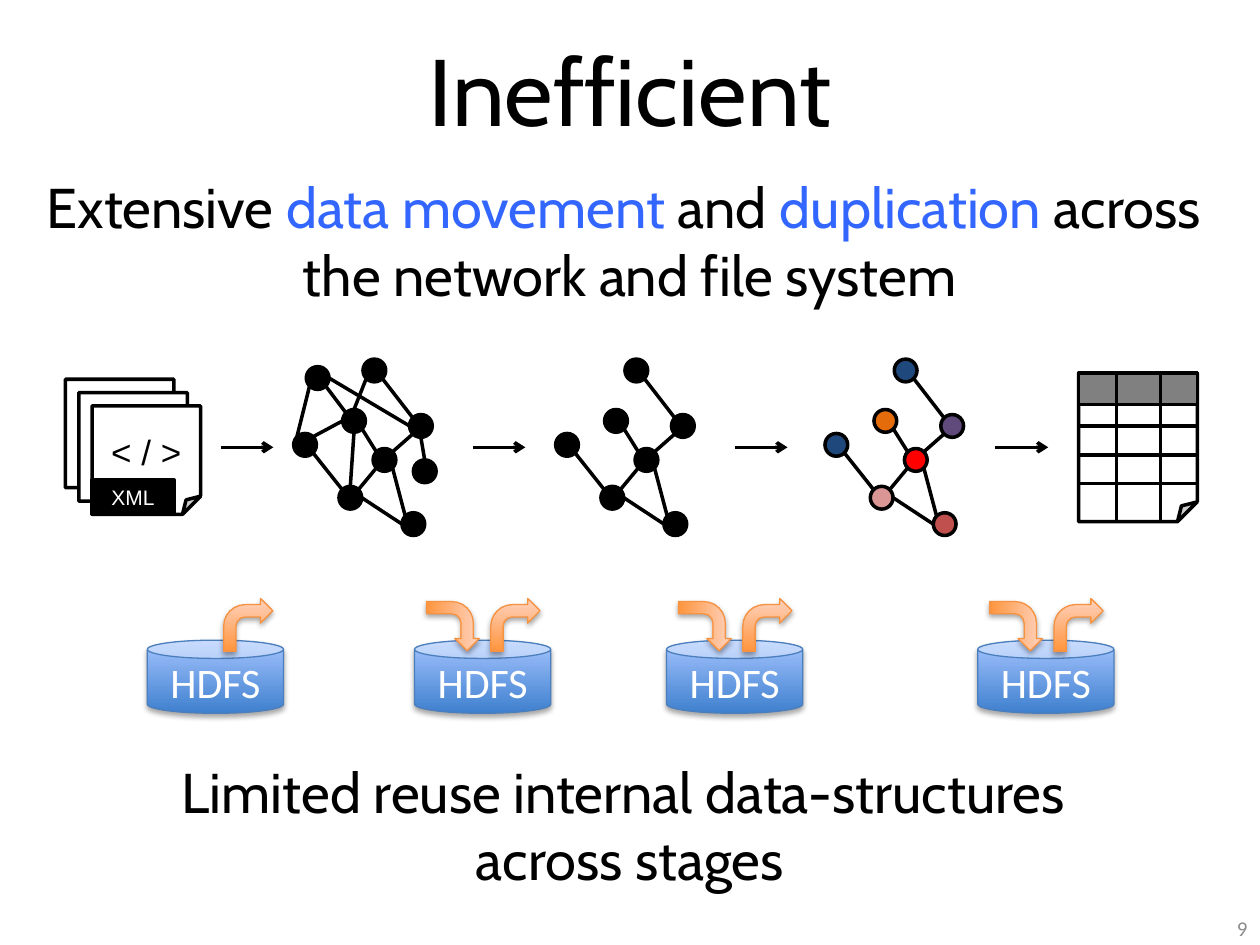
from collections import namedtuple
from lxml import etree
from pptx import Presentation
from pptx import util as u
from pptx.dml import color
from pptx.enum import shapes, text
from pptx.oxml import ns

Pt = u.Pt
KIND = shapes.MSO_SHAPE
Theme = namedtuple("Theme", "black white accent gray page_gray can can_line arrow arrow_line "
                   "head code mono page title_size body_size hdfs_size code_size small_size")
theme = Theme("000000", "FFFFFF", "3366FF", "808080", "8C8C8C",
              ("3F80CE", "A4C4FF"), "4B7EBC", ("FF953E", "FFD2BD"), "F69240",
              "Cabin", "Arial", "Calibri", "Calibri", 54, 32, 24, 20, 12)
rgb = color.RGBColor.from_string

prs = Presentation()
prs.slide_width, prs.slide_height = Pt(720), Pt(540)
s = prs.slides.add_slide(prs.slide_layouts[5])


def add_shape(kind, x, y, w, h, fill, line=theme.black, label="", font=theme.code,
              size=theme.code_size, ink=theme.black):
    sp = s.shapes.add_shape(kind, Pt(x), Pt(y), Pt(w), Pt(h))
    sp.shadow.inherit = False
    if isinstance(fill, tuple):
        sp.fill.gradient()
        sp.fill.gradient_angle = 90
        for stop, tone in zip(sp.fill.gradient_stops, fill):
            stop.color.rgb = rgb(tone)
        effects = sp._element.spPr.find(ns.qn("a:effectLst"))
        shadow = etree.SubElement(effects, ns.qn("a:outerShdw"), blurRad=str(Pt(3.1)),
                                  dist=str(Pt(1.8)), dir="5400000", rotWithShape="0")
        tint = etree.SubElement(shadow, ns.qn("a:srgbClr"), val=theme.black)
        etree.SubElement(tint, ns.qn("a:alpha"), val="35000")
        sp.line.width = Pt(0.75)
    else:
        sp.fill.solid()
        sp.fill.fore_color.rgb = rgb(fill)
        sp.line.width = Pt(2)
    sp.line.color.rgb = rgb(line)
    if label:
        p = sp.text_frame.paragraphs[0]
        p.text = label
        p.alignment = text.PP_ALIGN.CENTER
        f = p.runs[0].font
        f.name, f.size, f.color.rgb = font, Pt(size), rgb(ink)
    return sp


def add_line(x1, y1, x2, y2, arrow=False):
    c = s.shapes.add_connector(shapes.MSO_CONNECTOR.STRAIGHT, Pt(x1), Pt(y1), Pt(x2), Pt(y2))
    c.line.color.rgb = rgb(theme.black)
    c.line.width = Pt(2)
    if arrow:
        etree.SubElement(c.line._get_or_add_ln(), ns.qn("a:tailEnd"), type="arrow")
    etree.SubElement(c._element.spPr, ns.qn("a:effectLst"))


title = s.shapes.title
title.left, title.top, title.width, title.height = Pt(36), Pt(5.8), Pt(648), Pt(90)
tf = title.text_frame
tf.text = "Inefficient"
tf.vertical_anchor = text.MSO_ANCHOR.MIDDLE
tf.paragraphs[0].alignment = text.PP_ALIGN.CENTER
f = tf.paragraphs[0].runs[0].font
f.name, f.size, f.color.rgb = theme.head, Pt(theme.title_size), rgb(theme.black)

center, right = text.PP_ALIGN.CENTER, text.PP_ALIGN.RIGHT
captions = [
    (0, 92.2, 720, 90, center, theme.head, theme.body_size, [
        ("Extensive ", theme.black), ("data movement ", theme.accent), ("and ", theme.black),
        ("duplication", theme.accent), (" across ", theme.black), ("\n", None),
        ("the network and file system", theme.black)]),
    (0, 426.2, 720, 90, center, theme.head, theme.body_size, [
        ("Limited reuse internal data-structures ", theme.black), ("\n", None),
        ("across stages", theme.black)]),
    (552, 516.2, 168, 28.8, right, theme.page, theme.small_size, [("9", theme.page_gray)]),
]
for x, y, w, h, align, font, size, parts in captions:
    tf = s.shapes.add_textbox(Pt(x), Pt(y), Pt(w), Pt(h)).text_frame
    tf.word_wrap = True
    tf.vertical_anchor = text.MSO_ANCHOR.MIDDLE
    p = tf.paragraphs[0]
    p.alignment = align
    for words, ink in parts:
        if words == "\n":
            p.add_line_break()
            continue
        r = p.add_run()
        r.text = words
        r.font.name, r.font.size, r.font.color.rgb = font, Pt(size), rgb(ink)

for i, label in enumerate(["", "", "< / >"]):
    add_shape(KIND.FOLDED_CORNER, 37.4 + 7.6 * i, 216.7 + 7.6 * i, 62, 62, theme.white, label=label)
add_shape(KIND.RECTANGLE, 52.6, 274.3, 46.8, 19.5, theme.black, label="XML",
          size=theme.small_size, ink=theme.white)

node_size = 13
radius, graph_top = node_size / 2, 205.2
nodes = {"a": (0, 42.5), "b": (28, 28.8), "c": (45.4, 51.1), "d": (66.2, 31.7), "e": (25.9, 72.7),
         "f": (61.9, 87.8), "g": (39.6, 0), "h": (68.4, 57.6), "i": (7.2, 4.3)}
diagonal = 0.71
sites = {"n": (0, -1), "s": (0, 1), "w": (-1, 0), "e": (1, 0),
         "nw": (-diagonal, -diagonal), "ne": (diagonal, -diagonal),
         "sw": (-diagonal, diagonal), "se": (diagonal, diagonal)}
tree = ["b se c nw", "d sw c ne", "f nw c se", "a se e nw", "c sw e ne", "g se d nw", "e e f w"]
extra = ["b s e n", "b w a ne", "g sw b n", "i e d w", "d s h n", "i sw a nw", "i se b nw"]
ranks = dict(zip("abcdefg", ["1F497D", "E46C0A", "FF0000", "604A7B", "D99694", "C0504D", "1F497D"]))
graphs = [(167.8, tree + extra, dict.fromkeys(nodes, theme.black)),
          (317.5, tree, dict.fromkeys(ranks, theme.black)),
          (471.4, tree, ranks)]
for left, edges, fills in graphs:
    for edge in edges:
        start, out, end, into = edge.split()
        ends = []
        for node, site in ((start, out), (end, into)):
            ends.append(left + nodes[node][0] + radius * (1 + sites[site][0]))
            ends.append(graph_top + nodes[node][1] + radius * (1 + sites[site][1]))
        add_line(*ends)
    for node, fill in fills.items():
        x, y = nodes[node]
        add_shape(KIND.OVAL, left + x, graph_top + y, node_size, node_size, fill)

table_x, table_y, table_w, table_h = 616.3, 213.1, 67.9, 85
add_shape(KIND.FOLDED_CORNER, table_x, table_y, table_w, table_h, theme.white)
for i in range(3):
    y = 243.4 + 16.5 * i
    add_line(table_x, y, table_x + table_w, y)
add_shape(KIND.RECTANGLE, table_x, table_y, table_w, 18, theme.gray)
for x in (637.9, 663.1):
    add_line(x, table_y + table_h, x, table_y)

for i, x in enumerate([84.2, 236.9, 380.9, 558.7]):
    add_shape(KIND.CAN, x, 365.8, 77.8, 41.8, theme.can, theme.can_line, "HDFS",
              theme.mono, theme.hdfs_size, theme.white)
    if i:
        sp = add_shape(KIND.BENT_ARROW, x + 7.9, 342.7, 28.1, 30.2, theme.arrow, theme.arrow_line)
        sp.rotation = 90
    add_shape(KIND.BENT_ARROW, x + 43.6, 342, 28.1, 30.2, theme.arrow, theme.arrow_line)

for x in (126, 270, 419.8, 568.8):
    add_line(x, 255.6, x + 30.2, 255.6, arrow=True)

prs.save("out.pptx")
